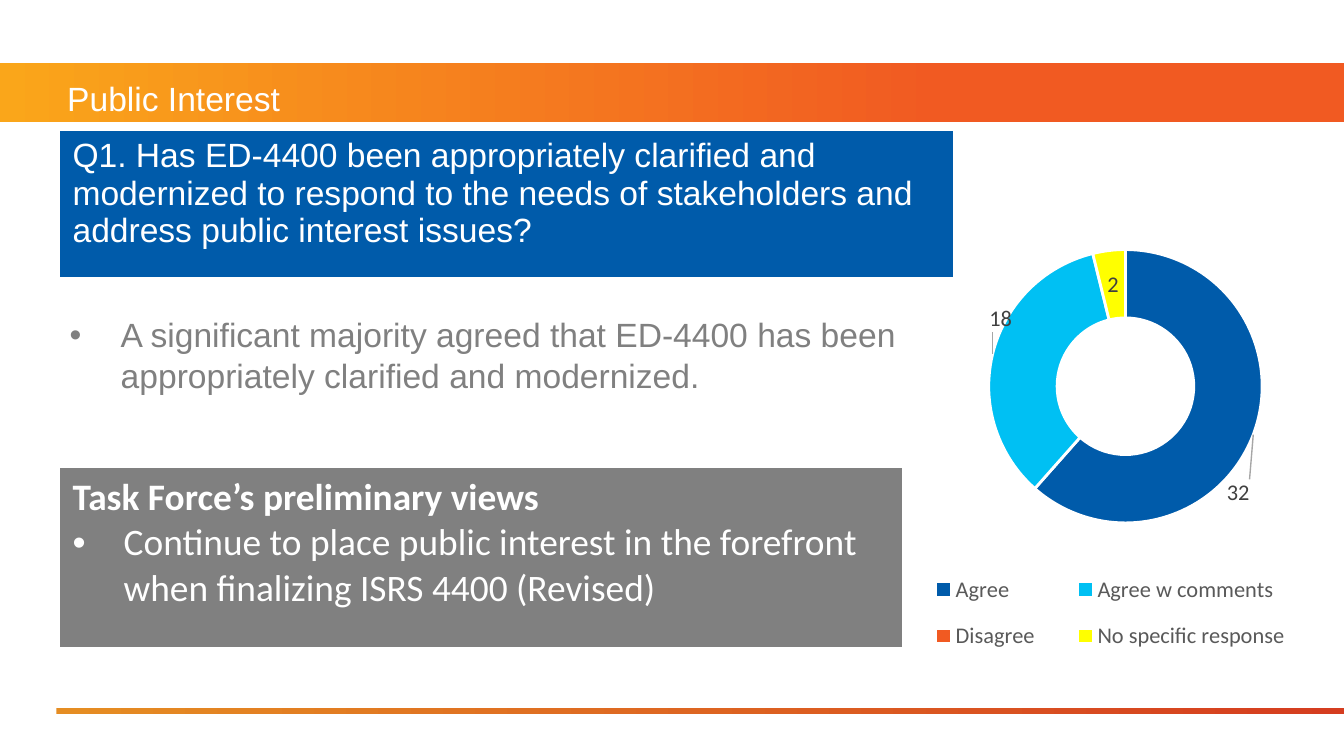
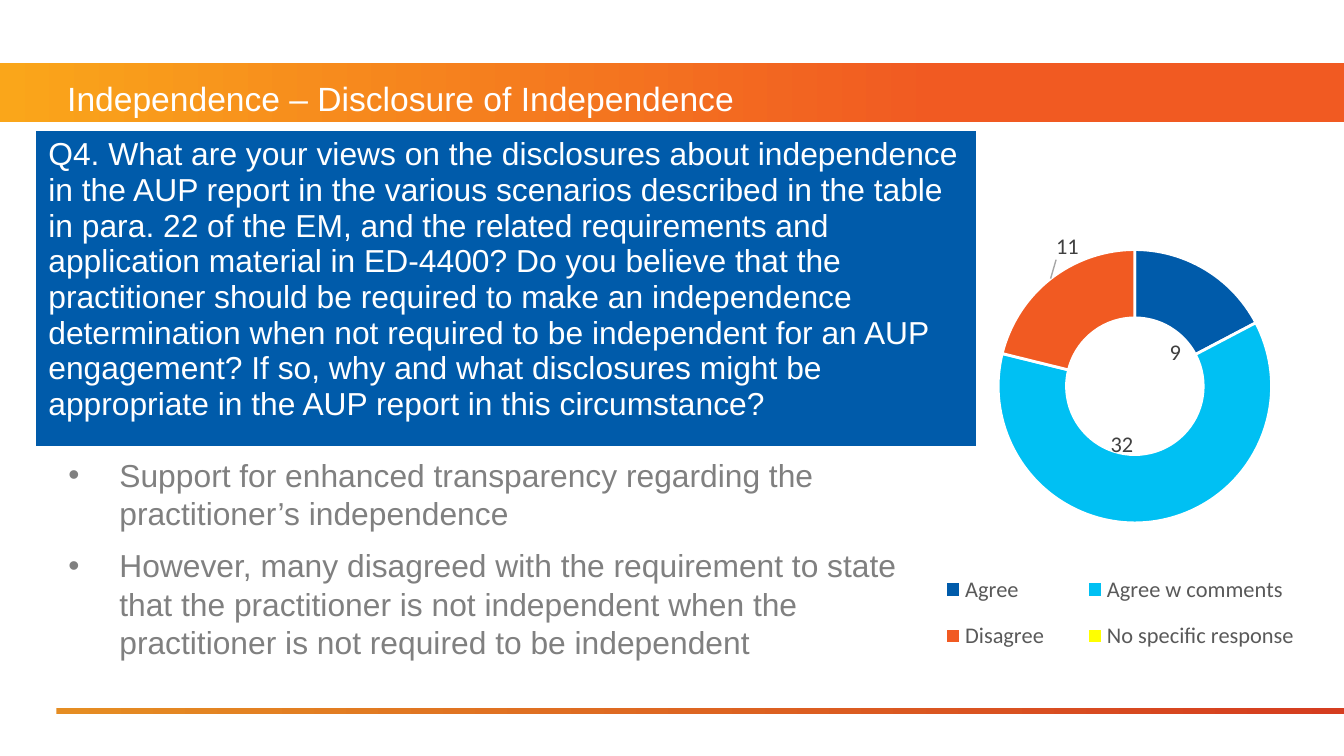
from dataclasses import dataclass

from lxml import etree
from pptx import Presentation
from pptx.chart.data import CategoryChartData
from pptx.dml.color import RGBColor
from pptx.enum.chart import XL_CHART_TYPE, XL_LEGEND_POSITION
from pptx.enum.shapes import MSO_SHAPE, PP_PLACEHOLDER
from pptx.enum.text import MSO_ANCHOR, MSO_AUTO_SIZE, PP_ALIGN
from pptx.oxml.ns import qn
from pptx.util import Pt

DOUGHNUT = XL_CHART_TYPE.DOUGHNUT
LEGEND_BOTTOM = XL_LEGEND_POSITION.BOTTOM
RECTANGLE = MSO_SHAPE.RECTANGLE
TITLE_TYPE = PP_PLACEHOLDER.TITLE
TOP = MSO_ANCHOR.TOP
NO_AUTOFIT = MSO_AUTO_SIZE.NONE
LEFT = PP_ALIGN.LEFT

EMU_PER_PX = 9144
SLIDE_WIDTH = 1000
BULLET_INDENT = 38
TITLE_ONLY = 5

WHITE = RGBColor(0xFF, 0xFF, 0xFF)
BLACK = RGBColor(0x00, 0x00, 0x00)
GREY = RGBColor(0x80, 0x80, 0x80)
LEGEND_GREY = RGBColor(0x59, 0x59, 0x59)
LABEL_GREY = RGBColor(0x40, 0x40, 0x40)
LEADER_GREY = RGBColor(0xA6, 0xA6, 0xA6)
BLUE = RGBColor(0x00, 0x5B, 0xAA)
CYAN = RGBColor(0x00, 0xC0, 0xF3)
ORANGE = RGBColor(0xF1, 0x5A, 0x22)
YELLOW = RGBColor(0xFF, 0xFF, 0x00)
AMBER = RGBColor(0xFA, 0xA6, 0x1A)
RULE_GOLD = RGBColor(0xE5, 0x8D, 0x23)
RULE_RED = RGBColor(0xD5, 0x3D, 0x20)

ANSWERS = {
    "Agree": BLUE,
    "Agree w comments": CYAN,
    "Disagree": ORANGE,
    "No specific response": YELLOW,
}
PLOT_LAYOUT = {"x": 0.21, "y": 0.19, "w": 0.65, "h": 0.57}
LEGEND_LAYOUT = {"x": 0, "y": 0.79, "w": 1, "h": 0.21}
BORDERS = {"lnL": 1, "lnR": 1, "lnT": 1, "lnB": 3}


@dataclass(frozen=True)
class Box:
    left: int
    top: int
    width: int
    height: int

    def emu(self) -> tuple[int, ...]:
        return tuple(
            px(length) for length in (self.left, self.top, self.width, self.height)
        )


@dataclass(frozen=True)
class Line:
    text: str
    size: int
    color: RGBColor
    font: str = "Arial"
    bold: bool = False
    bullet: bool = False


@dataclass(frozen=True)
class Panel:
    box: Box
    fill: RGBColor
    lines: list[Line]
    row_height: int


@dataclass(frozen=True)
class Survey:
    left: int
    values: tuple[int, ...]
    label_offsets: dict[int, tuple[float, float]]


@dataclass(frozen=True)
class Page:
    title: str
    body_box: Box
    body: list[Line]
    panels: list[Panel]
    survey: Survey


def px(length: int) -> int:
    return length * EMU_PER_PX


def finding(text: str, size: int) -> Line:
    return Line(text, size, GREY, bullet=True)


PAGES = [
    Page(
        "Public Interest",
        Box(42, 229, 669, 104),
        [finding("A significant majority agreed that ED-4400 has been appropriately "
                 "clarified and modernized.", 18)],
        [
            Panel(
                Box(44, 97, 666, 111), BLUE,
                [Line("Q1. Has ED-4400 been appropriately clarified and modernized to "
                      "respond to the needs of stakeholders and address public "
                      "interest issues?", 18, WHITE)],
                111,
            ),
            Panel(
                Box(44, 348, 628, 135), GREY,
                [
                    Line("Task Force’s preliminary views", 20, WHITE, "Calibri", bold=True),
                    Line("Continue to place public interest in the forefront when "
                         "finalizing ISRS 4400 (Revised)", 20, WHITE, "Calibri", bullet=True),
                ],
                135,
            ),
        ],
        Survey(670, (32, 18, 0, 2), {0: (0.04, 0.13), 1: (-0.06, -0.08)}),
    ),
    Page(
        "Independence – Disclosure of Independence",
        Box(41, 334, 669, 164),
        [
            finding("Support for enhanced transparency regarding the practitioner’s "
                    "independence", 17),
            finding("However, many disagreed with the requirement to state that the "
                    "practitioner is not independent when the practitioner is not "
                    "required to be independent", 17),
        ],
        [
            Panel(
                Box(26, 97, 701, 237), BLUE,
                [Line("Q4. What are your views on the disclosures about independence in "
                      "the AUP report in the various scenarios described in the table in "
                      "para. 22 of the EM, and the related requirements and application "
                      "material in ED-4400? Do you believe that the practitioner should "
                      "be required to make an independence determination when not "
                      "required to be independent for an AUP engagement? If so, why and "
                      "what disclosures might be appropriate in the AUP report in this "
                      "circumstance?", 17, WHITE)],
                146,
            ),
        ],
        Survey(677, (9, 32, 11, 0),
               {0: (-0.03, 0.1), 1: (-0.06, -0.08), 2: (-0.01, -0.11)}),
    ),
]


def style_font(font, size: int, color: RGBColor, name: str, bold: bool = False) -> None:
    font.size = Pt(size)
    font.color.rgb = color
    font.name = name
    font.bold = bold


def write_lines(text_frame, lines: list[Line], gap: float = 0) -> None:
    text_frame.text = "\n".join(line.text for line in lines)
    for index, (paragraph, line) in enumerate(zip(text_frame.paragraphs, lines)):
        paragraph.alignment = LEFT
        paragraph.space_before = Pt(gap if index else 0)
        if line.bullet:
            properties = paragraph._p.get_or_add_pPr()
            properties.set("marL", str(px(BULLET_INDENT)))
            properties.set("indent", str(-px(BULLET_INDENT)))
            etree.SubElement(properties, qn("a:buFont"), typeface="Arial")
            etree.SubElement(properties, qn("a:buChar"), char="•")
        for run in paragraph.runs:
            style_font(run.font, line.size, line.color, line.font, line.bold)


def add_gradient_bar(slide, box: Box, start: RGBColor, end: RGBColor, stop: float):
    bar = slide.shapes.add_shape(RECTANGLE, *box.emu())
    bar.shadow.inherit = False
    bar.line.fill.background()
    bar.fill.gradient()
    bar.fill.gradient_angle = 0
    first, last = bar.fill.gradient_stops
    first.color.rgb, first.position = start, 0
    last.color.rgb, last.position = end, stop
    return bar


def decorate_layout(layout, slide) -> None:
    for placeholder in list(layout.placeholders):
        if placeholder.placeholder_format.type != TITLE_TYPE:
            layout.shapes.element.remove(placeholder.element)
    bars = (
        add_gradient_bar(slide, Box(0, 47, SLIDE_WIDTH, 44), AMBER, ORANGE, 0.7),
        add_gradient_bar(slide, Box(42, 527, 958, 4), RULE_GOLD, RULE_RED, 1),
    )
    for bar in bars:
        layout.shapes.element.append(bar.element)


def set_title(slide, text: str) -> None:
    title = slide.shapes.title
    title.left, title.top, title.width, title.height = Box(40, 53, 825, 44).emu()
    text_frame = title.text_frame
    text_frame.auto_size = NO_AUTOFIT
    text_frame.vertical_anchor = TOP
    write_lines(text_frame, [Line(text, 18, WHITE)])


def add_body(slide, box: Box, lines: list[Line]) -> None:
    text_frame = slide.shapes.add_textbox(*box.emu()).text_frame
    text_frame.word_wrap = True
    write_lines(text_frame, lines, gap=7.8)


def add_panel(slide, panel: Panel) -> None:
    frame = slide.shapes.add_table(1, 1, *panel.box.emu())
    table = frame.table
    table.first_row = False
    table.horz_banding = False
    table.rows[0].height = px(panel.row_height)
    frame.height = px(panel.box.height)
    cell = table.cell(0, 0)
    cell.fill.solid()
    cell.fill.fore_color.rgb = panel.fill
    properties = cell._tc.get_or_add_tcPr()
    for index, (edge, width) in enumerate(BORDERS.items()):
        border = etree.Element(qn(f"a:{edge}"), w=str(Pt(width)))
        add_solid_fill(border, WHITE)
        properties.insert(index, border)
    write_lines(cell.text_frame, panel.lines)


def add_solid_fill(parent, color: RGBColor) -> None:
    fill = etree.SubElement(parent, qn("a:solidFill"))
    etree.SubElement(fill, qn("a:srgbClr"), val=str(color))


def make_layout(values: dict[str, float], modes: dict[str, str]):
    layout = etree.Element(qn("c:layout"))
    manual = etree.SubElement(layout, qn("c:manualLayout"))
    for name, value in {**modes, **values}.items():
        etree.SubElement(manual, qn(f"c:{name}"), val=str(value))
    return layout


def color_leader_lines(chart) -> None:
    switch = chart.element.xpath(".//c:ser/c:dLbls/c:showLeaderLines")[0]
    leader_lines = etree.Element(qn("c:leaderLines"))
    properties = etree.SubElement(leader_lines, qn("c:spPr"))
    add_solid_fill(etree.SubElement(properties, qn("a:ln"), w=str(Pt(0.75))), LEADER_GREY)
    switch.addnext(leader_lines)


def add_survey_chart(slide, survey: Survey) -> None:
    data = CategoryChartData()
    data.categories = list(ANSWERS)
    data.add_series("Series 1", survey.values)
    box = Box(survey.left, 97, 313, 401)
    chart = slide.shapes.add_chart(DOUGHNUT, *box.emu(), data).chart
    chart.has_title = False
    style_font(chart.font, 10, BLACK, "Calibri")
    edges = {"xMode": "edge", "yMode": "edge"}

    chart.has_legend = True
    legend = chart.legend
    legend.position = LEGEND_BOTTOM
    legend.include_in_layout = False
    style_font(legend.font, 12, LEGEND_GREY, "Calibri")
    legend_element = chart.element.xpath(".//c:legend")[0]
    for layout in legend_element.xpath("./c:layout"):
        legend_element.remove(layout)
    legend_element.xpath("./c:legendPos")[0].addnext(make_layout(LEGEND_LAYOUT, edges))

    plot_area = chart.element.xpath(".//c:plotArea")[0]
    for layout in plot_area.xpath("./c:layout"):
        plot_area.remove(layout)
    plot_area.insert(0, make_layout(PLOT_LAYOUT, {"layoutTarget": "inner", **edges}))
    plot_area.xpath(".//c:holeSize")[0].set("val", "75")

    plot = chart.plots[0]
    plot.vary_by_categories = True
    series = plot.series[0]
    labels = series.data_labels
    labels.show_value = True
    labels.number_format = "0;;"
    labels.number_format_is_linked = False
    style_font(labels.font, 12, LABEL_GREY, "Calibri")
    color_leader_lines(chart)
    for index, color in enumerate(ANSWERS.values()):
        point = series.points[index]
        point.format.fill.solid()
        point.format.fill.fore_color.rgb = color
        point.format.line.color.rgb = WHITE
        point.format.line.width = Pt(1.5)
        if index in survey.label_offsets:
            x, y = survey.label_offsets[index]
            style_font(point.data_label.font, 12, LABEL_GREY, "Calibri")
            label = chart.element.xpath(f".//c:dLbl[c:idx/@val='{index}']")[0]
            label.insert(1, make_layout({"x": x, "y": y}, {}))


def main() -> None:
    presentation = Presentation()
    presentation.slide_width = px(SLIDE_WIDTH)
    presentation.slide_height = px(SLIDE_WIDTH) * 9 // 16
    layout = presentation.slide_layouts[TITLE_ONLY]
    for index, page in enumerate(PAGES):
        slide = presentation.slides.add_slide(layout)
        if index == 0:
            decorate_layout(layout, slide)
        set_title(slide, page.title)
        add_body(slide, page.body_box, page.body)
        for panel in page.panels:
            add_panel(slide, panel)
        add_survey_chart(slide, page.survey)
    presentation.save("out.pptx")


if __name__ == "__main__":
    main()
